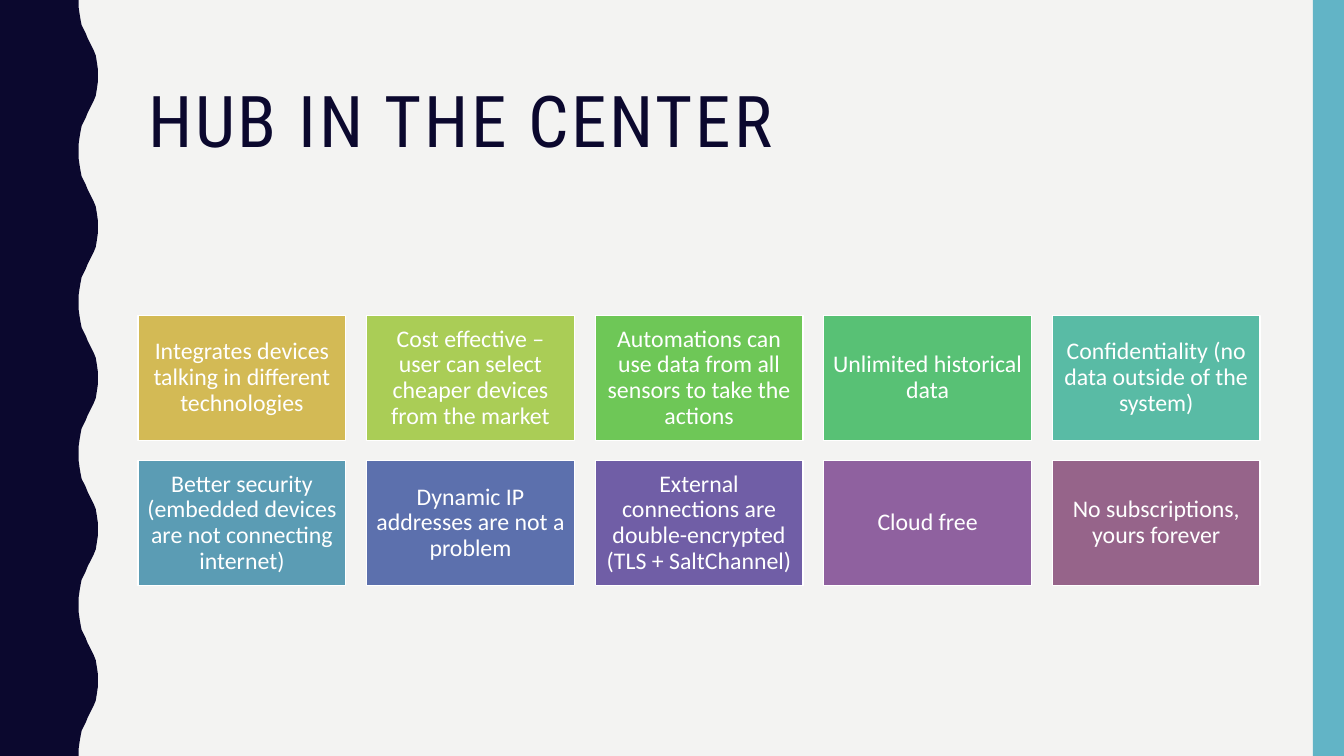
from pptx import Presentation
from pptx.dml.color import RGBColor
from pptx.enum import shapes, text
from pptx.util import Inches, Pt

WIDTH, HEIGHT = 13.33, 7.5
NAVY, TEAL, PAPER, WHITE = "0B082E", "62B4C6", "F3F3F2", "FFFFFF"

TITLE = "HUB IN THE CENTER"
BENEFITS = [
    ("Integrates devices talking in different technologies", "D3BA55"),
    ("Cost effective – user can select cheaper devices from the market", "AACD56"),
    ("Automations can use data from all sensors to take the actions", "6EC757"),
    ("Unlimited historical data", "58C175"),
    ("Confidentiality (no data outside of the system)", "59BBA5"),
    ("Better security (embedded devices are not connecting internet)", "5B9CB4"),
    ("Dynamic IP addresses are not a problem", "5C70AD"),
    ("External connections are double-encrypted (TLS + SaltChannel)", "705EA6"),
    ("Cloud free", "8F619F"),
    ("No subscriptions, yours forever", "96648A"),
]

# Benefit grid
COLUMNS = 5
LEFT, TOP = 1.37, 3.13
CARD_WIDTH, CARD_HEIGHT = 2.06, 1.24
STEP_X, STEP_Y = 2.267, 1.44

# Wavy edge: trough to crest as (x, y), then mirrored for each wave
HALF_WAVE = [(0.78, 0), (0.78, 0.07), (0.79, 0.14), (0.8, 0.2), (0.81, 0.25),
             (0.83, 0.29), (0.85, 0.33), (0.87, 0.38), (0.89, 0.42), (0.91, 0.46),
             (0.93, 0.5), (0.95, 0.55), (0.96, 0.61), (0.97, 0.68), (0.97, 0.75)]
WAVES = 5
WAVE_HEIGHT = HEIGHT / WAVES


def color(value):
    return RGBColor.from_string(value)


def paint(shape, fill, line=None):
    shape.shadow.inherit = False
    shape.fill.solid()
    shape.fill.fore_color.rgb = color(fill)
    if line:
        shape.line.color.rgb = color(line)
        shape.line.width = Pt(1)
    else:
        shape.line.fill.background()


def add_rectangle(page, left, top, width, height, fill, line=None):
    box = page.shapes.add_shape(shapes.MSO_SHAPE.RECTANGLE, Inches(left), Inches(top),
                                Inches(width), Inches(height))
    paint(box, fill, line)
    return box


def write(box, words, size, font, ink, align):
    frame = box.text_frame
    frame.word_wrap = True
    frame.vertical_anchor = text.MSO_ANCHOR.MIDDLE
    para = frame.paragraphs[0]
    para.alignment = align
    para.line_spacing = 0.9
    span = para.add_run()
    span.text = words
    span.font.size = Pt(size)
    span.font.name = font
    span.font.color.rgb = color(ink)
    return span


def add_wavy_band(page):
    wave = HALF_WAVE + [(x, WAVE_HEIGHT - y) for x, y in HALF_WAVE[-2::-1]]
    edge = [(x, y + number * WAVE_HEIGHT) for number in range(WAVES) for x, y in wave]
    outline = [(Inches(x), Inches(y)) for x, y in edge + [(0, HEIGHT)]]
    builder = page.shapes.build_freeform(0, 0)
    builder.add_line_segments(outline, close=True)
    paint(builder.convert_to_shape(), NAVY)


def add_title(page):
    box = page.shapes.add_textbox(Inches(LEFT), Inches(0.42), Inches(11.13), Inches(1.63))
    span = write(box, TITLE, 51, "Roboto Condensed", NAVY, text.PP_ALIGN.LEFT)
    span.font._element.set("spc", "200")  # letter spacing of 2 pt


def add_benefits(page):
    for index, (words, fill) in enumerate(BENEFITS):
        row, column = divmod(index, COLUMNS)
        box = add_rectangle(page, LEFT + column * STEP_X, TOP + row * STEP_Y,
                            CARD_WIDTH, CARD_HEIGHT, fill, WHITE)
        frame = box.text_frame
        frame.margin_left = frame.margin_right = Inches(0.07)
        frame.margin_top = frame.margin_bottom = Inches(0.07)
        write(box, words, 17, "Calibri", WHITE, text.PP_ALIGN.CENTER)


def main():
    deck = Presentation()
    deck.slide_width, deck.slide_height = Inches(WIDTH), Inches(HEIGHT)
    page = deck.slides.add_slide(deck.slide_layouts[6])
    page.background.fill.solid()
    page.background.fill.fore_color.rgb = color(PAPER)

    # Side bands
    add_wavy_band(page)
    add_rectangle(page, 13.02, 0, 0.31, HEIGHT, TEAL)

    # Content
    add_title(page)
    add_benefits(page)
    deck.save("out.pptx")


if __name__ == "__main__":
    main()
